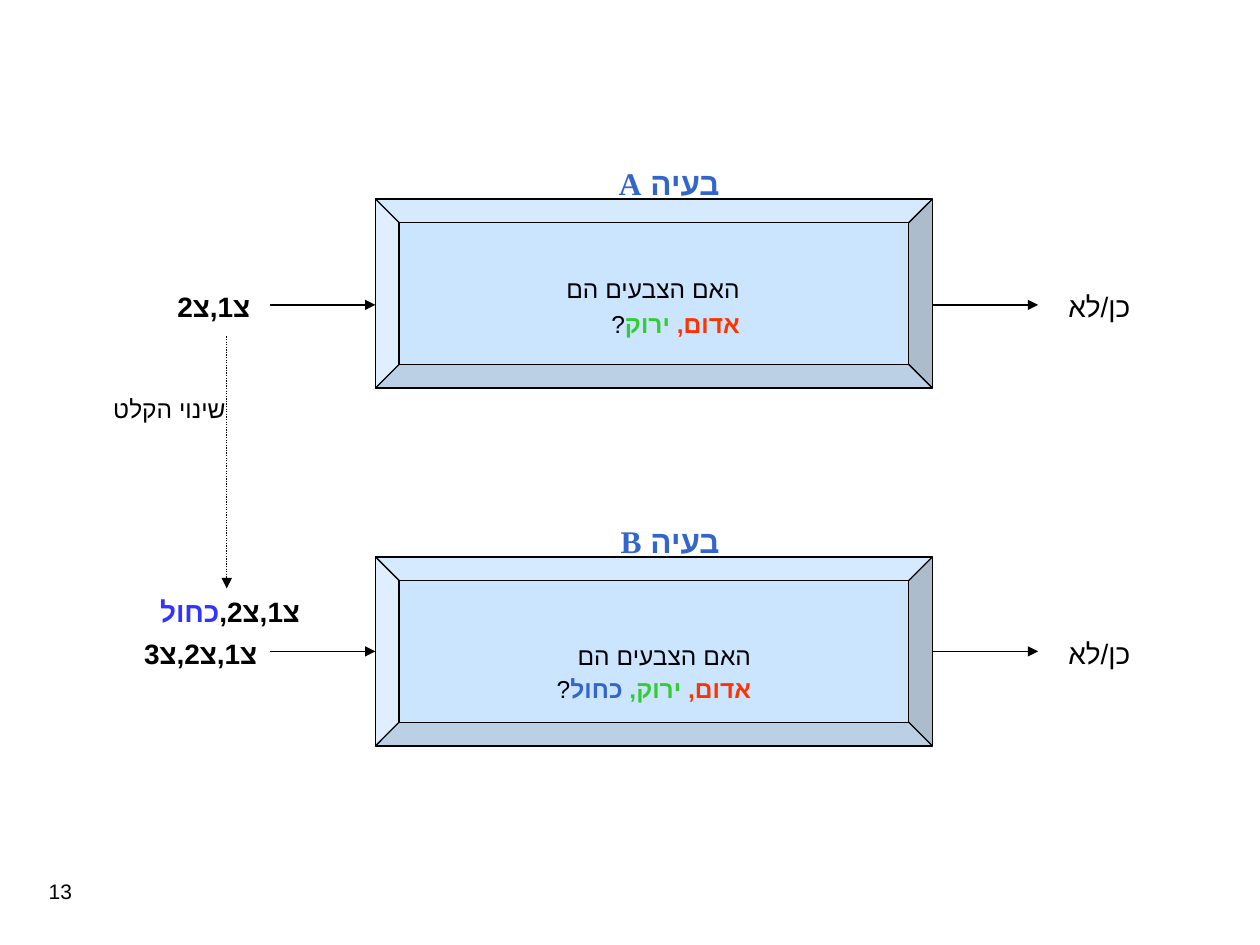
from pptx import Presentation
from pptx.dml.color import RGBColor
from pptx.enum.dml import MSO_LINE
from pptx.enum.shapes import MSO_CONNECTOR, MSO_SHAPE
from pptx.enum.text import PP_ALIGN
from pptx.oxml.ns import qn
from pptx.util import Inches, Pt
from lxml.etree import SubElement

COLORS = {
    "black": "000000", "box": "99CCFF", "title": "3366CC", "red": "FF3300",
    "green": "33CC33", "blue": "3366CC", "input_blue": "3333FF",
}


def rgb(name):
    return RGBColor.from_string(COLORS[name])


def add_text(slide, left, top, width, height, runs, size, latin="Times New Roman",
             align=PP_ALIGN.RIGHT, rtl=True, spacing=None):
    shape = slide.shapes.add_textbox(Inches(left), Inches(top), Inches(width), Inches(height))
    shape.text_frame.word_wrap = True
    paragraph = shape.text_frame.paragraphs[0]
    paragraph.alignment = align
    if spacing:
        paragraph.line_spacing = spacing
    if rtl:
        paragraph._p.get_or_add_pPr().set("rtl", "1")
    for text, color, bold in runs:
        run = paragraph.add_run()
        run.text = text
        run.font.size = Pt(size)
        run.font.bold = bold
        run.font.name = latin
        run.font.color.rgb = rgb(color)
        SubElement(run.font._element, qn("a:cs"), typeface="Arial")


def add_arrow(slide, x1, y1, x2, y2, dash=None):
    arrow = slide.shapes.add_connector(
        MSO_CONNECTOR.STRAIGHT, Inches(x1), Inches(y1), Inches(x2), Inches(y2))
    arrow.line.color.rgb = rgb("black")
    arrow.line.width = Pt(0.75)
    if dash:
        arrow.line.dash_style = dash
    SubElement(arrow.line._get_or_add_ln(), qn("a:tailEnd"), type="triangle")
    SubElement(arrow._element.spPr, qn("a:effectLst"))


def add_problem(slide, top, title, title_width, question, question_box, spacing,
                input_text, input_width, input_rtl):
    left, width, height, reach = 2.98, 4.42, 1.5, 0.84
    right, arrow_y = left + width, top + 0.84 if input_rtl is False else top + 0.75
    for start in (left - reach, right):
        add_arrow(slide, start, arrow_y, start + reach, arrow_y)

    bevel = slide.shapes.add_shape(
        MSO_SHAPE.BEVEL, Inches(left), Inches(top), Inches(width), Inches(height))
    bevel.shadow.inherit = False
    bevel.adjustments[0] = 0.125
    bevel.fill.solid()
    bevel.fill.fore_color.rgb = rgb("box")
    color = bevel._element.spPr.find(qn("a:solidFill"))[0]
    SubElement(color, qn("a:alpha"), val="50000")
    bevel.line.color.rgb = rgb("black")
    bevel.line.width = Pt(0.75)

    add_text(slide, 5.81 - title_width, top - 0.33, title_width, 0.4,
             [(title, "title", True)], 18)
    add_text(slide, *question_box, question, 14, spacing=spacing)
    label_top = arrow_y - 0.17
    add_text(slide, left - reach - input_width, label_top, input_width, 0.37,
             [(input_text, "black", True)], 16, rtl=input_rtl,
             align=PP_ALIGN.RIGHT if input_rtl else PP_ALIGN.LEFT)
    add_text(slide, right + reach, label_top, 0.83, 0.37, [("כן/לא", "black", False)], 16)


def add_input_change(slide, left, top):
    add_text(slide, left + 0.23, top + 2, 1.5, 0.37,
             [("צ1,צ2,", "black", True), ("כחול", "input_blue", True)], 16)
    add_arrow(slide, left + 1.05, top, left + 1.05, top + 2, MSO_LINE.ROUND_DOT)
    add_text(slide, left, top + 0.41, 1.14, 0.57, [("שינוי הקלט", "black", False)], 14)


presentation = Presentation()
presentation.slide_width = Inches(10)
presentation.slide_height = Inches(7.5)
slide = presentation.slides.add_slide(presentation.slide_layouts[6])

opening = [("האם הצבעים הם ", "black", False), ("אדום, ", "red", True)]
ending = [("?", "black", False)]
add_problem(slide, 1.58, "בעיה A", 1.25, opening + [("ירוק", "green", True)] + ending,
            (4.14, 2.08, 1.83, 0.66), 1.2, "צ1,צ2", 0.83, False)
add_problem(slide, 4.42, "בעיה B", 1.17,
            opening + [("ירוק, ", "green", True), ("כחול", "blue", True)] + ending,
            (4.06, 5, 2, 0.64), 1.15, "צ1,צ2,צ3", 1.17, True)
add_input_change(slide, 0.75, 2.67)
add_text(slide, 0, 6.92, 0.67, 0.5, [("13", "black", False)], 12, latin="Arial", rtl=False)

presentation.save("out.pptx")
